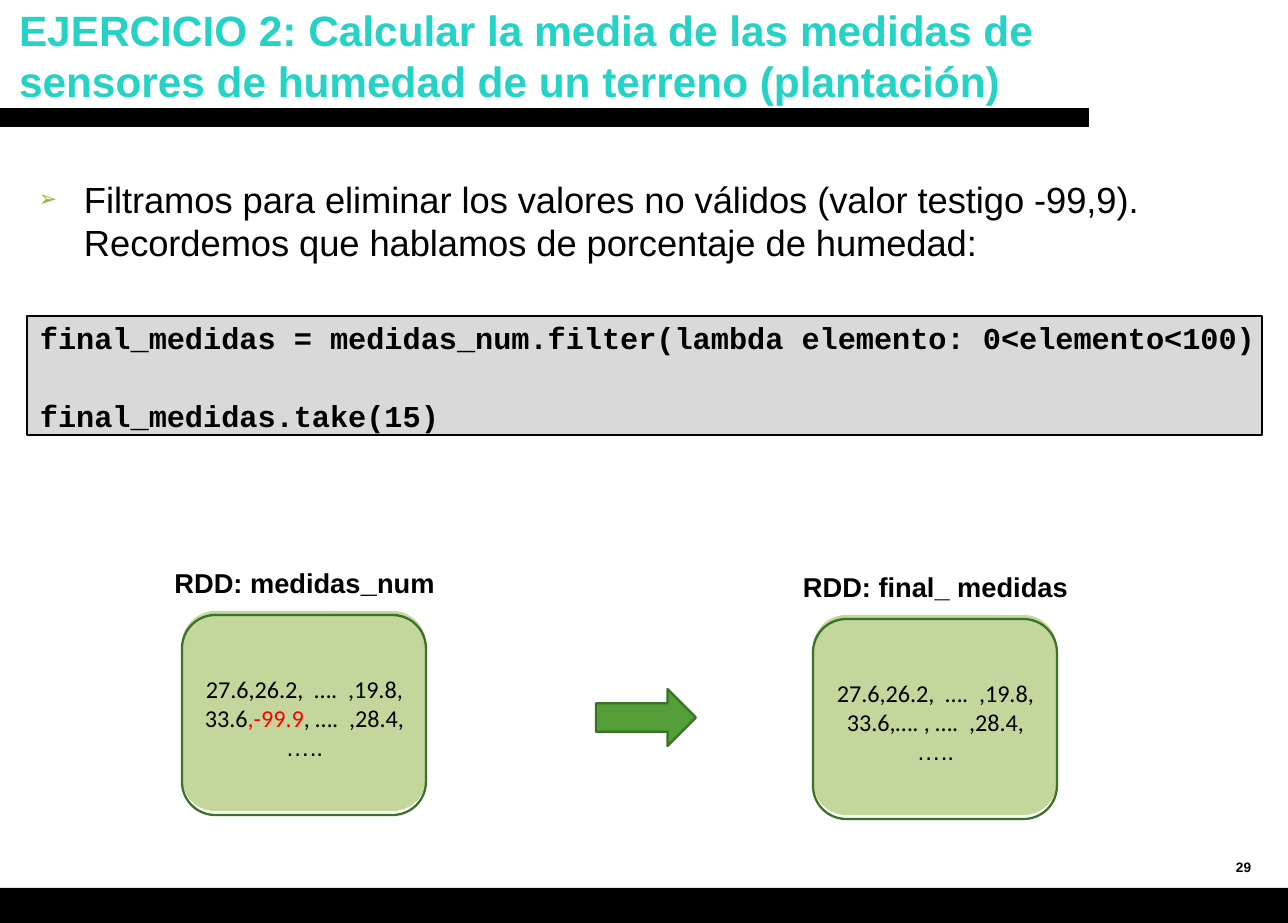
from dataclasses import dataclass

from pptx import Presentation
from pptx import util as u
from pptx.dml import color
from pptx.enum import shapes, text
from pptx.oxml import ns, xmlchemy

EMU_PER_PX = u.Inches(1) / 109


@dataclass(frozen=True)
class Theme:
    sans: str = "Arial"
    values: str = "Calibri"
    mono: str = "Courier New"
    ink: str = "000000"
    heading: str = "22D3C6"
    bullet: str = "89B833"
    code_fill: str = "D9D9D9"
    rdd_fill: str = "C3D69B"
    arrow_fill: str = "539E39"
    outline: str = "3A7327"
    invalid: str = "FF0000"
    heading_pt: int = 28
    body_pt: int = 24
    code_pt: int = 20
    label_pt: int = 18
    values_pt: int = 16
    number_pt: int = 9
    code_line_pt: float = 1.0
    outline_pt: float = 1.5


THEME = Theme()


@dataclass(frozen=True)
class Box:
    left: int
    top: int
    width: int
    height: int

    def emu(self) -> list[u.Emu]:
        return [px(n) for n in (self.left, self.top, self.width, self.height)]


@dataclass(frozen=True)
class Span:
    content: str
    color: str | None = None
    font: str | None = None


@dataclass(frozen=True)
class Rdd:
    left: int
    top: int
    label: list[Span]
    rows: list[list[Span]]


def px(n: int) -> u.Emu:
    return u.Emu(round(n * EMU_PER_PX))


def rgb(value: str) -> color.RGBColor:
    return color.RGBColor.from_string(value)


def style(font, name: str, size: int, ink: str, bold: bool = False) -> None:
    font.name, font.size, font.bold = name, u.Pt(size), bold
    font.color.rgb = rgb(ink)


def tighten(paragraph) -> None:
    paragraph._p.pPr.find(ns.qn("a:defRPr")).set("spc", "-5")


def set_frame(frame, left: int = 0, top: int = 0, anchor=text.MSO_ANCHOR.TOP) -> None:
    frame.word_wrap = True
    frame.auto_size = text.MSO_AUTO_SIZE.NONE
    frame.vertical_anchor = anchor
    frame.margin_left, frame.margin_top = px(left), px(top)
    frame.margin_right = frame.margin_bottom = 0


def add_spans(paragraph, spans: list[Span]) -> None:
    for span in spans:
        run = paragraph.add_run()
        run.text = span.content
        if span.color:
            run.font.color.rgb = rgb(span.color)
        if span.font:
            run.font.name = span.font


def add_block(slide, kind, box: Box, fill: str | None = None,
              line: str | None = None, line_pt: float = THEME.outline_pt):
    block = slide.shapes.add_shape(kind, *box.emu())
    block.shadow.inherit = False
    if fill:
        block.fill.solid()
        block.fill.fore_color.rgb = rgb(fill)
    else:
        block.fill.background()
    if line:
        block.line.color.rgb = rgb(line)
        block.line.width = u.Pt(line_pt)
    else:
        block.line.fill.background()
    return block


def fill_placeholder(holder, box: Box, content: str, left: int, top: int):
    holder.left, holder.top, holder.width, holder.height = box.emu()
    set_frame(holder.text_frame, left, top)
    paragraph = holder.text_frame.paragraphs[0]
    paragraph.text = content
    paragraph.alignment = text.PP_ALIGN.LEFT
    paragraph.line_spacing = 1.0
    paragraph.space_before = u.Pt(0)
    return paragraph


def add_bullet(paragraph) -> None:
    properties = paragraph._p.get_or_add_pPr()
    properties.set("marL", str(px(47)))
    properties.set("indent", str(px(-45)))
    tint = xmlchemy.OxmlElement("a:buClr")
    xml_color = xmlchemy.OxmlElement("a:srgbClr")
    xml_color.set("val", THEME.bullet)
    tint.append(xml_color)
    size = xmlchemy.OxmlElement("a:buSzPct")
    size.set("val", "60000")
    mark = xmlchemy.OxmlElement("a:buChar")
    mark.set("char", "➢")
    for element in (tint, size, mark):
        properties.append(element)


def add_code(slide, box: Box, lines: list[str]) -> None:
    panel = add_block(slide, shapes.MSO_SHAPE.RECTANGLE, box, THEME.code_fill,
                      THEME.ink, THEME.code_line_pt)
    frame = panel.text_frame
    set_frame(frame, 13, 3)
    for index, line in enumerate(lines):
        paragraph = frame.add_paragraph() if index else frame.paragraphs[0]
        paragraph.text = line
        paragraph.alignment = text.PP_ALIGN.LEFT
        if index:
            paragraph.space_before = u.Pt(27.5)
        style(paragraph.font, THEME.mono, THEME.code_pt, THEME.ink, True)
        tighten(paragraph)


def add_rdd(slide, rdd: Rdd) -> None:
    rounded = shapes.MSO_SHAPE.ROUNDED_RECTANGLE
    add_block(slide, rounded, Box(rdd.left, rdd.top, 244, 200), fill=THEME.rdd_fill)
    add_block(slide, rounded, Box(rdd.left, rdd.top + 4, 244, 200), line=THEME.outline)
    caption = slide.shapes.add_textbox(*Box(rdd.left - 18, rdd.top - 65, 281, 244).emu())
    frame = caption.text_frame
    set_frame(frame, top=20)
    for index, spans in enumerate([rdd.label, *rdd.rows]):
        paragraph = frame.add_paragraph() if index else frame.paragraphs[0]
        paragraph.alignment = text.PP_ALIGN.CENTER
        if index == 1:
            paragraph.space_before = u.Pt(50)
        if index:
            style(paragraph.font, THEME.values, THEME.values_pt, THEME.ink)
        else:
            style(paragraph.font, THEME.sans, THEME.label_pt, THEME.ink, True)
        add_spans(paragraph, spans)


FIRST_ROW = [Span("27.6,26.2,  ….  ,19.8,")]
LAST_ROW = [Span("…..", font=THEME.sans)]
RDDS = [
    Rdd(182, 611,
        [Span("RDD: medidas"), Span("_", font=THEME.mono), Span("num")],
        [FIRST_ROW,
         [Span("33.6"), Span(",-99.9", THEME.invalid), Span(", ….  ,28.4,")],
         LAST_ROW]),
    Rdd(813, 615,
        [Span("RDD: final_ medidas")],
        [FIRST_ROW, [Span("33.6,…. , ….  ,28.4,")], LAST_ROW]),
]


def main() -> None:
    deck = Presentation()
    deck.slide_width, deck.slide_height = px(1288), px(923)
    slide = deck.slides.add_slide(deck.slide_layouts[1])

    heading = fill_placeholder(
        slide.shapes.title, Box(9, -1, 1163, 73),
        "EJERCICIO 2: Calcular la media de las medidas de sensores de humedad "
        "de un terreno (plantación)", 10, 5)
    style(heading.font, THEME.sans, THEME.heading_pt, THEME.heading, True)

    explanation = fill_placeholder(
        slide.placeholders[1], Box(37, 175, 1257, 89),
        "Filtramos para eliminar los valores no válidos (valor testigo -99,9). "
        "Recordemos que hablamos de porcentaje de humedad:", 0, 2)
    add_bullet(explanation)
    style(explanation.font, THEME.sans, THEME.body_pt, THEME.ink)
    tighten(explanation)

    for bar in (Box(0, 108, 1089, 19), Box(0, 888, 1288, 35)):
        add_block(slide, shapes.MSO_SHAPE.RECTANGLE, bar, THEME.ink)

    add_code(slide, Box(27, 316, 1235, 119), [
        "final_medidas = medidas_num.filter(lambda elemento: 0<elemento<100)",
        "final_medidas.take(15)",
    ])
    add_block(slide, shapes.MSO_SHAPE.RIGHT_ARROW, Box(596, 689, 100, 57),
              THEME.arrow_fill, THEME.outline)
    for rdd in RDDS:
        add_rdd(slide, rdd)

    number = slide.shapes.add_textbox(*Box(1225, 845, 50, 44).emu()).text_frame
    set_frame(number, 11, anchor=text.MSO_ANCHOR.MIDDLE)
    number.text = "29"
    style(number.paragraphs[0].font, THEME.sans, THEME.number_pt, THEME.ink, True)

    deck.save("out.pptx")


if __name__ == "__main__":
    main()
